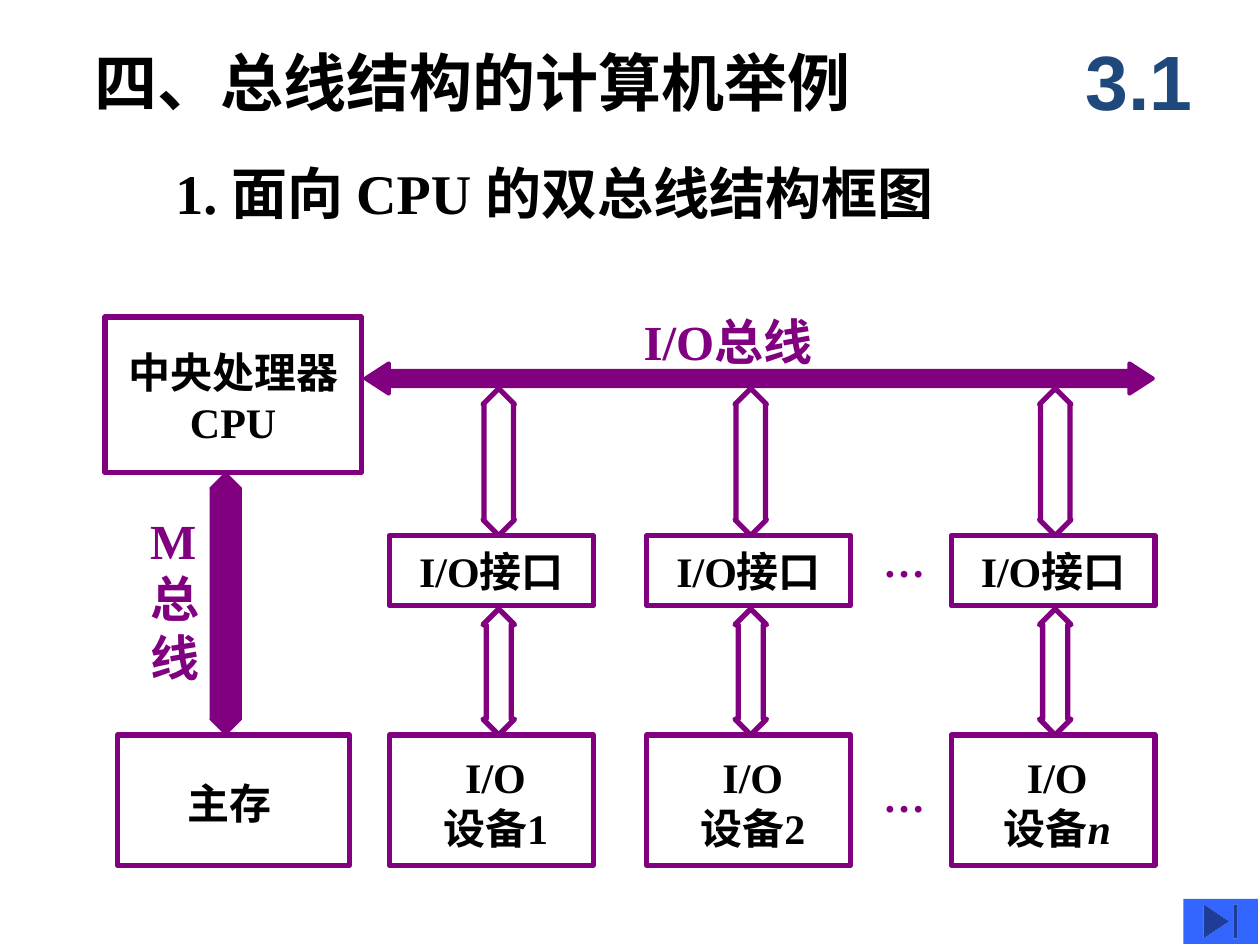
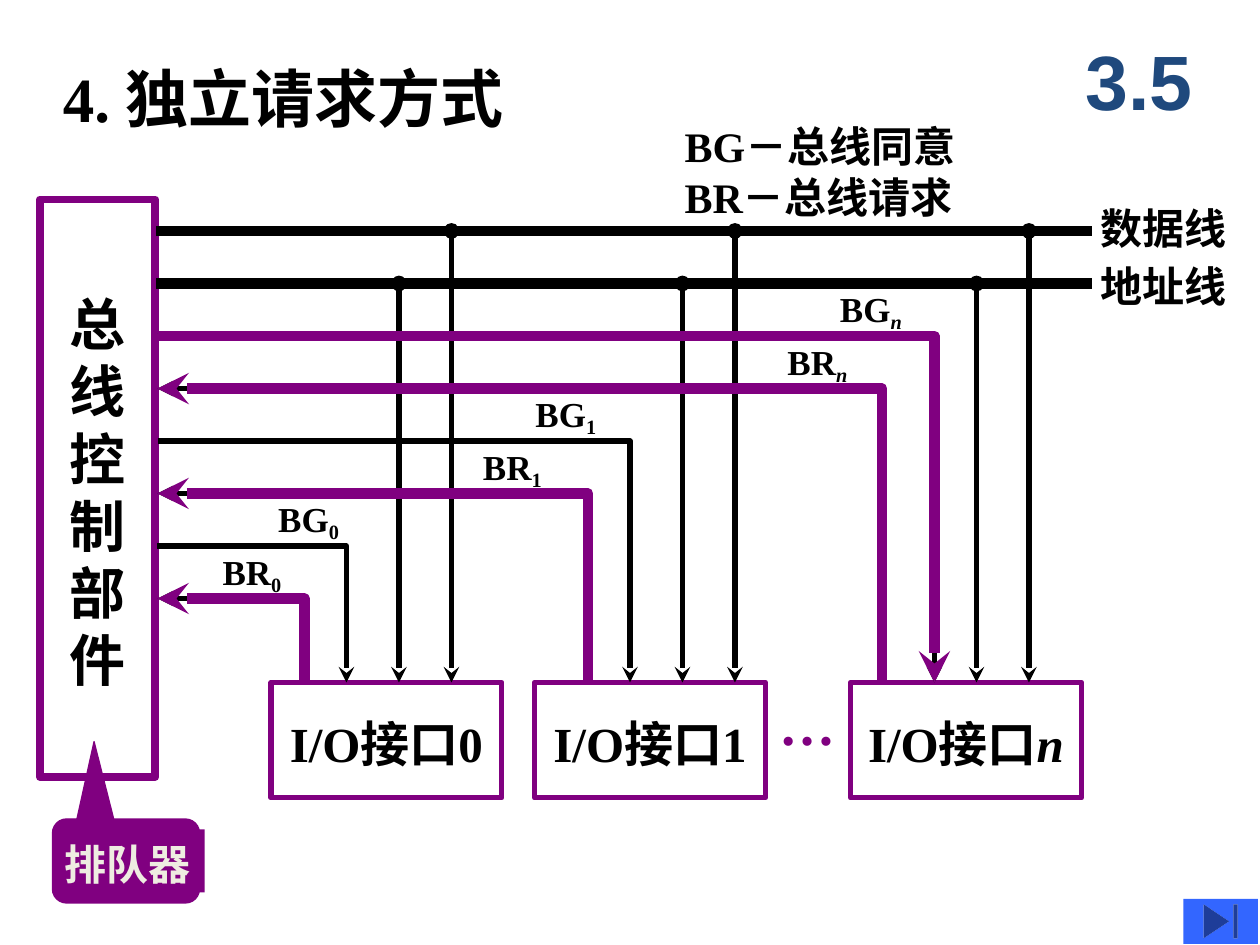
from lxml import etree
from pptx import Presentation
from pptx.dml.color import RGBColor
from pptx.enum.shapes import MSO_CONNECTOR, MSO_SHAPE
from pptx.enum.text import MSO_ANCHOR, PP_ALIGN
from pptx.oxml.ns import qn
from pptx.util import Pt

PX = 7620
BLACK = "000000"
PURPLE = "800080"
NAVY = "1F497D"
BLUE = "3366FF"
CREAM = "EEECE1"
SERIF = "Times New Roman"
SANS = "Arial"
HAN = "Noto Sans CJK SC"
LEFT = PP_ALIGN.LEFT
MID = PP_ALIGN.CENTER
TOP = MSO_ANCHOR.TOP
RECT = MSO_SHAPE.RECTANGLE
WIDE = MSO_SHAPE.LEFT_RIGHT_ARROW
TALL = MSO_SHAPE.UP_DOWN_ARROW
CALL = MSO_SHAPE.ROUNDED_RECTANGULAR_CALLOUT
NEXT = MSO_SHAPE.ACTION_BUTTON_END
STRAIGHT = MSO_CONNECTOR.STRAIGHT


def paint(hue):
    return RGBColor.from_string(hue)


def scale(*sizes):
    return [round(size * PX) for size in sizes]


def write(shape, lines, size, inset=(0, 0), align=LEFT, hue=BLACK,
          face=SERIF, tail="", sub=False, wrap=True):
    frame = shape.text_frame
    frame.word_wrap = wrap
    frame.vertical_anchor = TOP
    frame.margin_left, frame.margin_top = scale(*inset)
    frame.margin_right = frame.margin_bottom = 0
    for i, line in enumerate(lines):
        para = frame.add_paragraph() if i else frame.paragraphs[0]
        para.alignment = align
        para.line_spacing = Pt(size * 1.2)
        para.add_run().text = line
        font = para.font
        font.name, font.size, font.bold = face, Pt(size), True
        font.color.rgb = paint(hue)
        etree.SubElement(font._element, qn("a:ea"), typeface=HAN)
    if tail:
        run = para.add_run()
        run.text = tail
        if tail == "n":
            run.font.italic = True
        if sub:
            run.font._element.set("baseline", "-20000")


def label(slide, box, lines, size, **style):
    write(slide.shapes.add_textbox(*scale(*box)), lines, size, **style)


def block(slide, kind, box, fill=None, edge=PURPLE, width=3, turns=()):
    shape = slide.shapes.add_shape(kind, *scale(*box))
    shape.shadow.inherit = False
    for i, turn in enumerate(turns):
        shape.adjustments[i] = turn
    if fill:
        shape.fill.solid()
        shape.fill.fore_color.rgb = paint(fill)
    else:
        shape.fill.background()
    if edge:
        shape.line.color.rgb = paint(edge)
        shape.line.width = Pt(width)
    else:
        shape.line.fill.background()
    return shape


def stroke(shape, hue, width, head=None, tail=None):
    shape.line.color.rgb = paint(hue)
    shape.line.width = Pt(width)
    edge = shape.line._get_or_add_ln()
    for end, kind in (("a:headEnd", head), ("a:tailEnd", tail)):
        if kind:
            etree.SubElement(edge, qn(end), type=kind)


def wire(slide, start, stop, width, **ends):
    line = slide.shapes.add_connector(STRAIGHT, *scale(*start, *stop))
    etree.SubElement(line._element.spPr, qn("a:effectLst"))
    stroke(line, BLACK, width, **ends)
    effect = line._element.spPr.find(qn("a:effectLst"))
    line._element.spPr.append(effect)


def elbow(slide, start, bend, foot, hue, width, **ends):
    form = slide.shapes.build_freeform(*start, scale=PX)
    form.add_line_segments([(bend, start[1]), (bend, foot)], close=False)
    shape = form.convert_to_shape()
    shape.shadow.inherit = False
    shape.fill.background()
    stroke(shape, hue, width, **ends)


def base(deck, number):
    slide = deck.slides.add_slide(deck.slide_layouts[6])
    label(slide, (1010, 32, 150, 90), [number], 44, align=MID,
          hue=NAVY, face=SANS)
    block(slide, NEXT, (1127, 856, 71, 43), BLUE, None)
    return slide


def core(slide, x, y):
    cpu = block(slide, RECT, (x, y, 244, 148))
    write(cpu, ["中央处理器", "CPU"], 24, (0, 28), MID)
    label(slide, (x + 43, y + 184, 56, 168), ["M", "总", "线"], 28,
          hue=PURPLE)
    block(slide, TALL, (x + 100, y + 148, 30, 250), PURPLE,
          width=0.75, turns=(0.5, 0.98))
    store = block(slide, RECT, (x + 12, y + 398, 221, 124))
    write(store, ["主存"], 24, (67, 40))


def column(slide, x, y, axis, tail):
    for top, height in ((y, 140), (y + 210, 120)):
        block(slide, TALL, (axis - 15, top, 30, height),
              turns=(0.5, height * 0.2 / 30))
    port = block(slide, RECT, (x, y + 140, 194, 67))
    write(port, ["I/O接口"], 24, (0, 10), MID)
    unit = block(slide, RECT, (x, y + 330, 194, 124))
    write(unit, ["I/O", "设备"], 24, (8, 16), MID, tail=tail)


def dual(deck):
    slide = base(deck, "3.1")
    label(slide, (90, 41, 810, 74), ["四、总线结构的计算机举例"], 36)
    label(slide, (167, 151, 811, 66), ["1. 面向 CPU 的双总线结构框图"], 32)
    core(slide, 100, 302)
    label(slide, (613, 297, 238, 56), ["I/O总线"], 28, hue=PURPLE)
    block(slide, WIDE, (348, 346, 750, 29), PURPLE, width=2.25,
          turns=(0.5, 0.773))
    for x, axis, tail in ((371, 475, "1"), (616, 715, "2"), (906, 1005, "n")):
        column(slide, x, 370, axis, tail)
    for y in (510, 734):
        label(slide, (841, y, 49, 48), ["…"], 24, hue=PURPLE)


def master(slide, x, y):
    unit = block(slide, RECT, (x, y, 110, 550), width=4.5)
    write(unit, list("总线控制部件"), 32, (0, 86), MID)
    block(slide, CALL, (x + 12, y + 590, 140, 80), PURPLE, width=0.75,
          turns=(-0.217, -1.422, 0.167))
    queue = block(slide, RECT, (x + 12, y + 600, 145, 60), PURPLE, None)
    write(queue, ["排队器"], 24, (12, 9), hue=CREAM, wrap=False)


def port(slide, x, y, ask, tail):
    unit = block(slide, RECT, (x, y, 220, 110))
    write(unit, ["I/O接口"], 28, (0, 30), MID, tail=tail, wrap=False)
    for drop, top in ((ask + 90, 270), (ask + 140, 220)):
        wire(slide, (drop, top), (drop, y), 3, head="oval", tail="stealth")


def link(slide, name, tail, bend, row, left, hue):
    ends = {"tail": "stealth"} if name == "BG" else {"head": "stealth"}
    elbow(slide, (150, row), bend, 650, BLACK, 3, **ends)
    if hue != BLACK:
        elbow(slide, (150, row), bend, 650, hue, 6, **ends)
    label(slide, (left, row - 42, 110, 40), [name], 20, tail=tail, sub=True)


def request(deck):
    slide = base(deck, "3.5")
    label(slide, (60, 57, 528, 74), ["4. 独立请求方式"], 36)
    label(slide, (652, 115, 310, 100), ["BG－总线同意", "BR－总线请求"], 24)
    master(slide, 38, 190)
    for row, top, text in ((220, 193, "数据线"), (270, 248, "地址线")):
        wire(slide, (149, row), (1040, row), 6)
        label(slide, (1048, top, 145, 50), [text], 24, wrap=False)
    ports = ((258, 290, "0"), (509, 560, "1"), (810, 850, "n"))
    for x, ask, tail in ports:
        port(slide, x, 650, 840 if tail == "n" else ask, tail)
    label(slide, (742, 657, 60, 64), ["…"], 32, hue=PURPLE)
    links = (("BG", "n", 890, 800, PURPLE), ("BR", "n", 840, 750, PURPLE),
             ("BG", "1", 600, 510, BLACK), ("BR", "1", 560, 460, PURPLE),
             ("BG", "0", 330, 265, BLACK), ("BR", "0", 290, 212, PURPLE))
    for i, (name, tail, bend, left, hue) in enumerate(links):
        link(slide, name, tail, bend, 320 + 50 * i, left, hue)


def main():
    deck = Presentation()
    deck.slide_width, deck.slide_height = scale(1200, 900)
    dual(deck)
    request(deck)
    deck.save("out.pptx")


if __name__ == "__main__":
    main()
